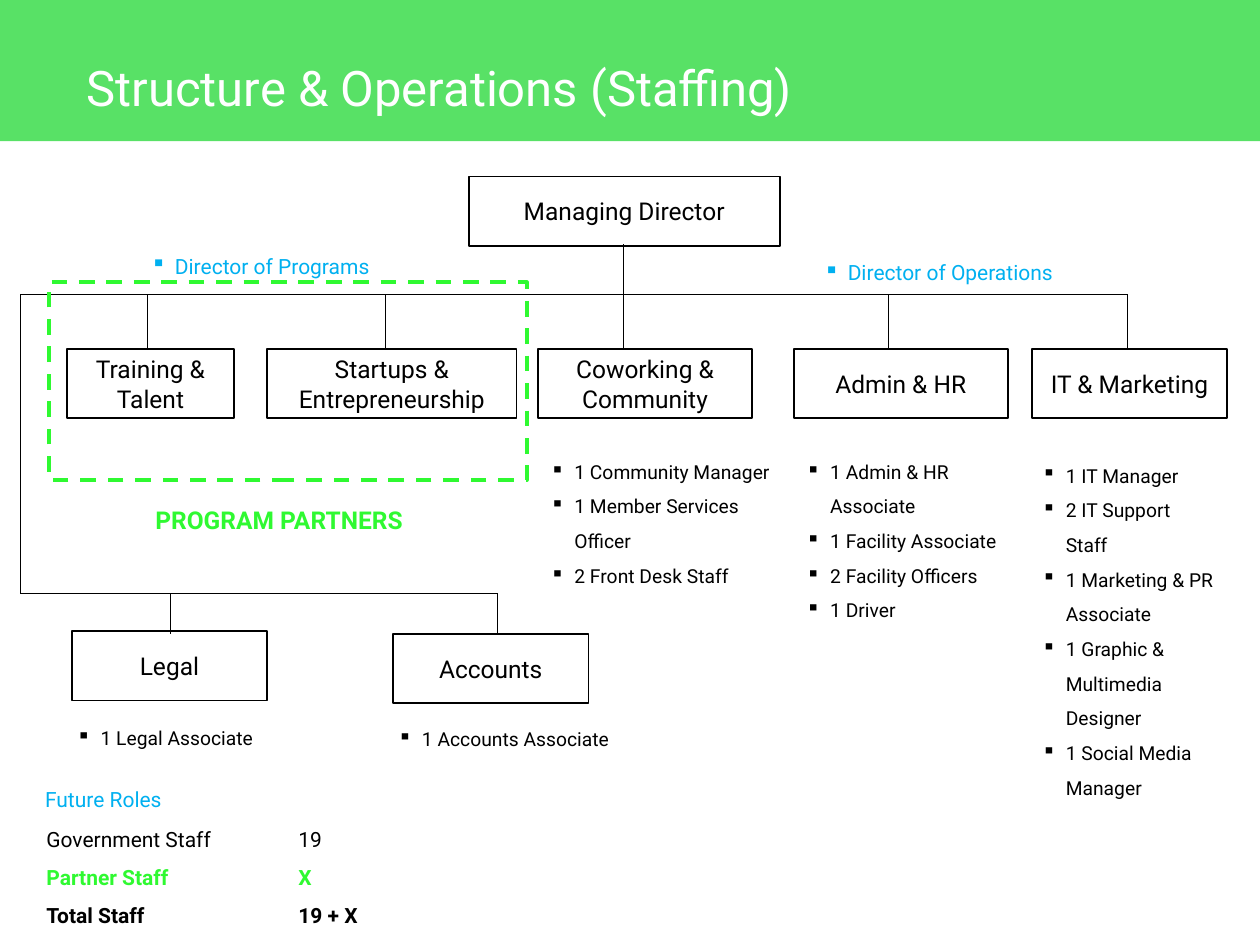
from dataclasses import dataclass
from typing import Optional

from lxml import etree
from pptx import Presentation
from pptx.dml.color import RGBColor
from pptx.enum import dml, shapes, text
from pptx.oxml import ns
from pptx.util import Inches, Pt


@dataclass(frozen=True)
class Theme:
    font: str = "Roboto"
    black: str = "000000"
    white: str = "FFFFFF"
    banner: str = "58E166"
    partner: str = "2FF931"
    role: str = "00B0F0"
    title: int = 28
    unit: int = 14
    label: int = 12
    staff: int = 11
    spacing: float = 1.5
    hang: float = 0.19
    hairline: float = 0.5
    border: float = 1
    dashes: float = 2.25


THEME = Theme()


@dataclass(frozen=True)
class Area:
    left: float
    top: float
    width: float
    height: float


@dataclass(frozen=True)
class Line:
    words: str
    size: int
    color: str = THEME.black
    bold: bool = False
    bullet: bool = False
    tab: Optional[float] = None
    centered: bool = False
    spacing: Optional[float] = None


@dataclass(frozen=True)
class Unit:
    name: str
    area: Area


@dataclass(frozen=True)
class Roster:
    area: Area
    roles: tuple[str, ...]


def rgb(value: str) -> RGBColor:
    return RGBColor.from_string(value)


def write(frame, lines: list[Line]) -> None:
    frame.word_wrap = True
    for index, line in enumerate(lines):
        para = frame.paragraphs[0] if index == 0 else frame.add_paragraph()
        para.text = line.words
        para.alignment = text.PP_ALIGN.CENTER if line.centered else text.PP_ALIGN.LEFT
        if line.spacing:
            para.line_spacing = line.spacing
        properties = para._p.get_or_add_pPr()
        if line.bullet:
            properties.set("marL", str(Inches(THEME.hang)))
            properties.set("indent", str(-Inches(THEME.hang)))
            etree.SubElement(properties, ns.qn("a:buChar"), char="▪")
        if line.tab:
            tabs = etree.SubElement(properties, ns.qn("a:tabLst"))
            etree.SubElement(tabs, ns.qn("a:tab"), pos=str(Inches(line.tab)), algn="l")
        para.font.name = THEME.font
        para.font.size = Pt(line.size)
        para.font.bold = line.bold
        para.font.color.rgb = rgb(line.color)


def add_text(page, area: Area, lines: list[Line]) -> None:
    box = page.shapes.add_textbox(
        Inches(area.left), Inches(area.top), Inches(area.width), Inches(area.height))
    write(box.text_frame, lines)


def add_box(page, area: Area, fill: Optional[str] = None,
            line: Optional[str] = None, weight: float = THEME.border):
    box = page.shapes.add_shape(
        shapes.MSO_SHAPE.RECTANGLE,
        Inches(area.left), Inches(area.top), Inches(area.width), Inches(area.height))
    box.shadow.inherit = False
    if fill:
        box.fill.solid()
        box.fill.fore_color.rgb = rgb(fill)
    else:
        box.fill.background()
    if line:
        box.line.color.rgb = rgb(line)
        box.line.width = Pt(weight)
    else:
        box.line.fill.background()
    return box


def add_unit(page, unit: Unit) -> None:
    box = add_box(page, unit.area, THEME.white, THEME.black)
    box.text_frame.vertical_anchor = text.MSO_ANCHOR.MIDDLE
    write(box.text_frame, [Line(unit.name, THEME.unit, centered=True)])


def add_roster(page, roster: Roster) -> None:
    add_text(page, roster.area, [
        Line(role, THEME.staff, bullet=True, spacing=THEME.spacing)
        for role in roster.roles])


def add_link(page, x1: float, y1: float, x2: float, y2: float) -> None:
    link = page.shapes.add_connector(
        shapes.MSO_CONNECTOR.STRAIGHT, Inches(x1), Inches(y1), Inches(x2), Inches(y2))
    link.line.color.rgb = rgb(THEME.black)
    link.line.width = Pt(THEME.hairline)
    etree.SubElement(link._element.spPr, ns.qn("a:effectLst"))


UNIT_TOP, UNIT_HEIGHT = 2.77, 0.55
UPPER_RAIL, LOWER_RAIL, RAIL_LEFT = 2.34, 4.71, 0.16
LOWER_UNIT_TOP = 5.03

UNITS = [Unit("Managing Director", Area(3.72, 1.4, 2.47, UNIT_HEIGHT))] + [
    Unit(name, Area(left, UNIT_TOP, width, UNIT_HEIGHT)) for name, left, width in (
        ("Training & Talent", 0.53, 1.33),
        ("Startups & Entrepreneurship", 2.12, 1.98),
        ("Coworking & Community", 4.27, 1.7),
        ("Admin & HR", 6.3, 1.7),
        ("IT & Marketing", 8.19, 1.55))
] + [
    Unit("Legal", Area(0.57, 5.01, 1.55, UNIT_HEIGHT)),
    Unit("Accounts", Area(3.12, LOWER_UNIT_TOP, 1.55, UNIT_HEIGHT)),
]

ROSTERS = [
    Roster(Area(4.27, 3.51, 1.96, 1.19),
           ("1 Community Manager", "1 Member Services Officer", "2 Front Desk Staff")),
    Roster(Area(6.3, 3.51, 1.89, 1.47),
           ("1 Admin & HR Associate", "1 Facility Associate",
            "2 Facility Officers", "1 Driver")),
    Roster(Area(8.17, 3.54, 1.58, 2.85),
           ("1 IT Manager", "2 IT Support Staff", "1 Marketing & PR Associate",
            "1 Graphic & Multimedia Designer", "1 Social Media Manager")),
    Roster(Area(0.51, 5.62, 1.89, 0.35), ("1 Legal Associate",)),
    Roster(Area(3.06, 5.63, 1.89, 0.35), ("1 Accounts Associate",)),
]

LINKS = [
    (4.95, 1.94, 4.95, UPPER_RAIL),
    (RAIL_LEFT, UPPER_RAIL, 8.95, UPPER_RAIL),
    (RAIL_LEFT, UPPER_RAIL, RAIL_LEFT, LOWER_RAIL),
    (RAIL_LEFT, LOWER_RAIL, 3.95, LOWER_RAIL),
    *((x, UPPER_RAIL, x, UNIT_TOP) for x in (1.17, 3.06, 4.95, 7.05, 8.95)),
    *((x, LOWER_RAIL, x, LOWER_UNIT_TOP) for x in (1.35, 3.95)),
]

ROLE_LABELS = [
    ("Director of Programs", Area(1.1, 1.86, 2.03, 0.38), True),
    ("Director of Operations", Area(6.44, 1.91, 2.46, 0.38), True),
    ("Future Roles", Area(0.26, 6.09, 2.46, 0.38), False),
]

TOTALS = [
    ("Government Staff\t19", THEME.black, False),
    ("Partner Staff\tX", THEME.partner, True),
    ("Total Staff\t19 + X", THEME.black, True),
]


def main() -> None:
    deck = Presentation()
    deck.slide_width, deck.slide_height = Inches(10), Inches(7.5)
    page = deck.slides.add_slide(deck.slide_layouts[6])

    add_box(page, Area(0, 0, 10, 1.12), THEME.banner)
    add_text(page, Area(0.59, 0.41, 6.87, 0.57),
             [Line("Structure & Operations (Staffing)", THEME.title, THEME.white)])
    for unit in UNITS:
        add_unit(page, unit)
    for roster in ROSTERS:
        add_roster(page, roster)
    for link in LINKS:
        add_link(page, *link)
    for words, area, bullet in ROLE_LABELS:
        add_text(page, area, [Line(words, THEME.label, THEME.role,
                                   bullet=bullet, spacing=THEME.spacing)])
    partners = add_box(page, Area(0.39, 2.24, 3.79, 1.57),
                       line=THEME.partner, weight=THEME.dashes)
    partners.line.dash_style = dml.MSO_LINE.DASH
    add_text(page, Area(0.67, 3.96, 3.09, 0.34),
             [Line("PROGRAM PARTNERS", THEME.unit, THEME.partner, True, centered=True)])
    add_text(page, Area(0.27, 6.41, 3.18, 0.98), [
        Line(words, THEME.label, color, bold, tab=2, spacing=THEME.spacing)
        for words, color, bold in TOTALS])
    deck.save("out.pptx")


if __name__ == "__main__":
    main()
